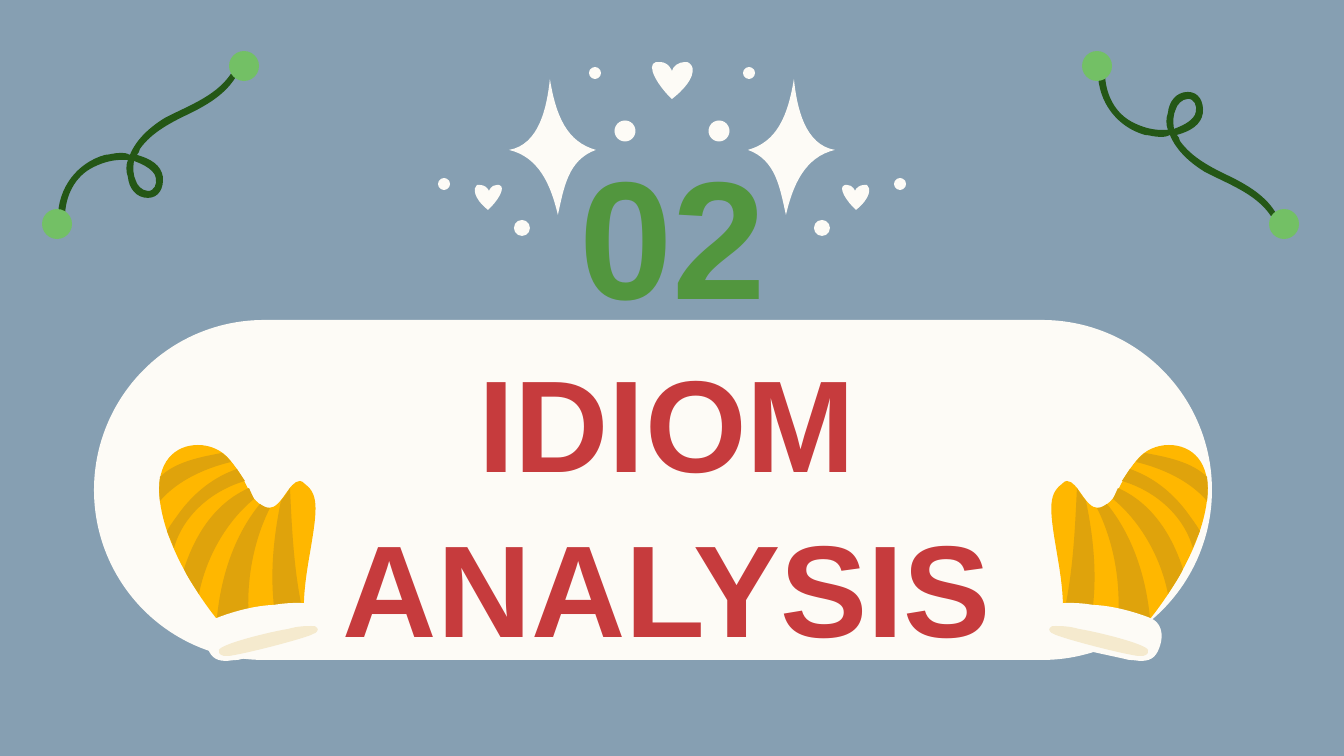
"""Build the "02 Idiom Analysis" section slide with vines, sparkles and mittens."""
import pptx
import pptx.dml.color
import pptx.enum.shapes
import pptx.enum.text
import pptx.oxml.ns
import pptx.util

W, H = 1344, 756
EMU_PER_PX = 9144000 / W

THEME = {
    "font": "Arial",
    "title_size": 70, "number_size": 90,
    "background": "869FB2", "cream": "FDFBF6", "title": "C63B3D", "number": "52963E",
    "stem": "245716", "bud": "73C065",
    "wool": "FFB700", "stripe": "DFA30C", "trim": "F5EACE",
}

PILL = (94, 320, 1118, 340)
TEXTS = [
    {"text": "IDIOM ANALYSIS", "role": "title", "box": (184, 372, 966, 242), "top_inset": 25},
    {"text": "02", "role": "number", "box": (464, 156, 418, 126), "top_inset": 29},
]
INSET = 13

VINE_STEM = [
    (235, 66), (235, 66, 234, 67, 234, 69), (220, 95, 190, 105, 165, 118),
    (152, 126, 137, 138, 130, 155), (126, 153, 124, 153, 121, 153),
    (114, 153, 109, 155, 105, 155), (77, 163, 58, 188, 58, 218),
    (58, 219, 59, 220, 60, 220), (63, 220, 65, 219, 65, 218),
    (65, 196, 75, 176, 94, 167), (102, 163, 112, 160, 121, 160), (128, 160),
    (126, 165, 126, 172, 128, 177), (129, 188, 136, 198, 148, 198),
    (159, 198, 164, 188, 163, 177), (161, 165, 151, 159, 137, 155),
    (138, 153, 140, 152, 140, 149), (152, 132, 172, 122, 191, 113),
    (211, 103, 230, 91, 239, 71), (241, 69, 238, 66, 235, 66),
]
VINE_LOOP = [
    (134, 161), (142, 164, 151, 168, 155, 175), (157, 179, 157, 187, 152, 190),
    (151, 191, 149, 191, 148, 191), (142, 191, 137, 185, 136, 181),
    (133, 175, 133, 168, 134, 161),
]
STAR = [
    (794, 79), (797, 108, 805, 145, 835, 150), (805, 157, 793, 185, 786, 215),
    (780, 188, 776, 160, 748, 150), (777, 142, 788, 116, 794, 79),
]
SIDE_HEART = [
    (864, 185), (860, 185, 856, 188, 855, 191), (855, 191, 853, 185, 847, 185), (845, 185),
    (837, 187, 847, 202, 856, 210), (871, 198, 871, 188, 867, 185), (864, 185),
]
TOP_HEART = [
    (685, 62), (679, 62, 673, 66, 672, 71), (672, 71, 669, 62, 660, 62), (656, 62),
    (645, 65, 659, 87, 672, 99), (695, 81, 696, 67, 689, 63), (688, 62, 687, 62, 685, 62),
]
MITTEN_BODY = [
    (1169, 445), (1191, 445, 1212, 461, 1207, 501), (1199, 563, 1146, 624, 1146, 624),
    (1062, 617), (1062, 617, 1066, 606, 1058, 559), (1050, 512, 1047, 495, 1062, 484),
    (1063, 482, 1066, 481, 1067, 481), (1078, 481, 1085, 508, 1098, 508),
    (1099, 508, 1101, 508, 1103, 507), (1121, 496, 1116, 485, 1137, 460),
    (1145, 450, 1157, 445, 1169, 445),
]
MITTEN_STRIPES = [
    [(1130, 469), (1153, 477, 1172, 492, 1187, 512), (1192, 519, 1196, 524, 1200, 531),
     (1198, 536, 1195, 542, 1193, 548), (1184, 516, 1156, 491, 1122, 481), (1130, 469)],
    [(1118, 488), (1152, 503, 1172, 535, 1183, 569), (1179, 578, 1173, 586, 1168, 594),
     (1161, 558, 1141, 522, 1113, 499), (1118, 488)],
    [(1107, 504), (1133, 536, 1146, 577, 1150, 618), (1146, 624), (1118, 621),
     (1121, 582, 1114, 542, 1097, 508), (1099, 508, 1101, 508, 1107, 504)],
    [(1077, 488), (1079, 492, 1083, 497, 1086, 501), (1094, 539, 1098, 581, 1091, 620),
     (1063, 617), (1073, 575, 1075, 531, 1077, 488)],
    [(1145, 453), (1167, 457, 1192, 462, 1207, 477), (1208, 484, 1208, 492, 1207, 501),
     (1189, 480, 1161, 468, 1136, 462), (1138, 459, 1141, 456, 1145, 453)],
]
MITTEN_CUFF = [
    (1068, 603), (1074, 603, 1081, 603, 1093, 605), (1121, 606, 1150, 618, 1150, 618),
    (1161, 622, 1164, 634, 1160, 646), (1157, 655, 1153, 661, 1141, 661),
    (1138, 661, 1134, 660, 1129, 660), (1109, 655, 1056, 646, 1048, 636),
    (1042, 626, 1048, 612, 1055, 607), (1058, 605, 1060, 603, 1068, 603),
]
CUFF_TRIM = [
    (1056, 626), (1060, 626, 1069, 626, 1079, 629), (1098, 632, 1146, 644, 1148, 650),
    (1149, 655, 1144, 656, 1141, 656), (1138, 656), (1113, 652, 1058, 637, 1054, 634),
    (1050, 633, 1048, 629, 1050, 628), (1051, 626, 1052, 626, 1056, 626),
]

VINE = {"outlines": [("stem", VINE_STEM, VINE_LOOP)],
        "dots": [("bud", 244, 66, 30), ("bud", 57, 224, 30)]}
SPARKLE = {"outlines": [("cream", STAR), ("cream", SIDE_HEART)],
           "dots": [("cream", 719, 131, 21), ("cream", 822, 228, 16),
                    ("cream", 900, 184, 12), ("cream", 749, 73, 12)]}
MITTEN = {"outlines": [("wool", MITTEN_BODY), *(("stripe", o) for o in MITTEN_STRIPES),
                       ("cream", MITTEN_CUFF), ("trim", CUFF_TRIM)],
          "dots": []}


def keep(x, y):
    return x, y


def mirror(axis_sum):
    return lambda x, y: (axis_sum - x, y)


def flip_vine(x, y):
    return x + 1040, 290 - y


DECORATIONS = [
    (VINE, keep), (VINE, flip_vine),
    (SPARKLE, keep), (SPARKLE, mirror(W)),
    ({"outlines": [("cream", TOP_HEART)], "dots": []}, keep),
    (MITTEN, keep), (MITTEN, mirror(1367)),
]


def px(n):
    return pptx.util.Emu(round(n * EMU_PER_PX))


def rgb(name):
    return pptx.dml.color.RGBColor.from_string(THEME[name])


def paint(sp, color):
    sp.shadow.inherit = False
    sp.fill.solid()
    sp.fill.fore_color.rgb = rgb(color)
    sp.line.fill.background()


def place_points(outline, place):
    return [tuple(map(px, place(*seg[i:i + 2]))) for seg in outline for i in range(0, len(seg), 2)]


def bend(sp, segments):
    qn = pptx.oxml.ns.qn
    trail = sp._element.find(".//" + qn("a:path"))
    lines = iter(trail.findall(qn("a:lnTo")))
    for seg in segments:
        first = next(lines)
        if len(seg) == 6:
            first.tag = qn("a:cubicBezTo")
            for extra in (next(lines), next(lines)):
                first.append(extra[0])
                trail.remove(extra)


def add_outline(shapes, color, outlines, place):
    first, *holes = [place_points(outline, place) for outline in outlines]
    builder = shapes.build_freeform(*first[0])
    builder.add_line_segments(first[1:], close=True)
    for hole in holes:
        builder.move_to(*hole[0])
        builder.add_line_segments(hole[1:], close=True)
    sp = builder.convert_to_shape()
    bend(sp, [seg for outline in outlines for seg in outline[1:]])
    paint(sp, color)


def add_dot(shapes, color, x, y, size, place):
    cx, cy = place(x, y)
    box = (cx - size / 2, cy - size / 2, size, size)
    paint(shapes.add_shape(pptx.enum.shapes.MSO_SHAPE.OVAL, *map(px, box)), color)


def fill_text(sp, item):
    sp.left, sp.top, sp.width, sp.height = map(px, item["box"])
    tf = sp.text_frame
    tf.text = item["text"]
    tf.word_wrap = True
    tf.auto_size = pptx.enum.text.MSO_AUTO_SIZE.NONE
    tf.vertical_anchor = pptx.enum.text.MSO_ANCHOR.MIDDLE
    tf.margin_left = tf.margin_right = tf.margin_bottom = px(INSET)
    tf.margin_top = px(item["top_inset"])
    p = tf.paragraphs[0]
    p.alignment = pptx.enum.text.PP_ALIGN.CENTER
    p.line_spacing, p.space_before = 1.05, pptx.util.Pt(0)
    p.font.name, p.font.bold = THEME["font"], True
    p.font.size = pptx.util.Pt(THEME[item["role"] + "_size"])
    p.font.color.rgb = rgb(item["role"])


prs = pptx.Presentation()
prs.slide_width, prs.slide_height = px(W), px(H)
s = prs.slides.add_slide(prs.slide_layouts[2])
s.background.fill.solid()
s.background.fill.fore_color.rgb = rgb("background")
pill = s.shapes.add_shape(pptx.enum.shapes.MSO_SHAPE.ROUNDED_RECTANGLE, *map(px, PILL))
pill.adjustments[0] = 0.5
paint(pill, "cream")
s.shapes._spTree.insert(2, pill._element)
for sp, item in zip(s.placeholders, TEXTS):
    fill_text(sp, item)
for motif, place in DECORATIONS:
    group = s.shapes.add_group_shape()
    for color, *outlines in motif["outlines"]:
        add_outline(group.shapes, color, outlines, place)
    for dot in motif["dots"]:
        add_dot(group.shapes, *dot, place)
prs.save("out.pptx")
